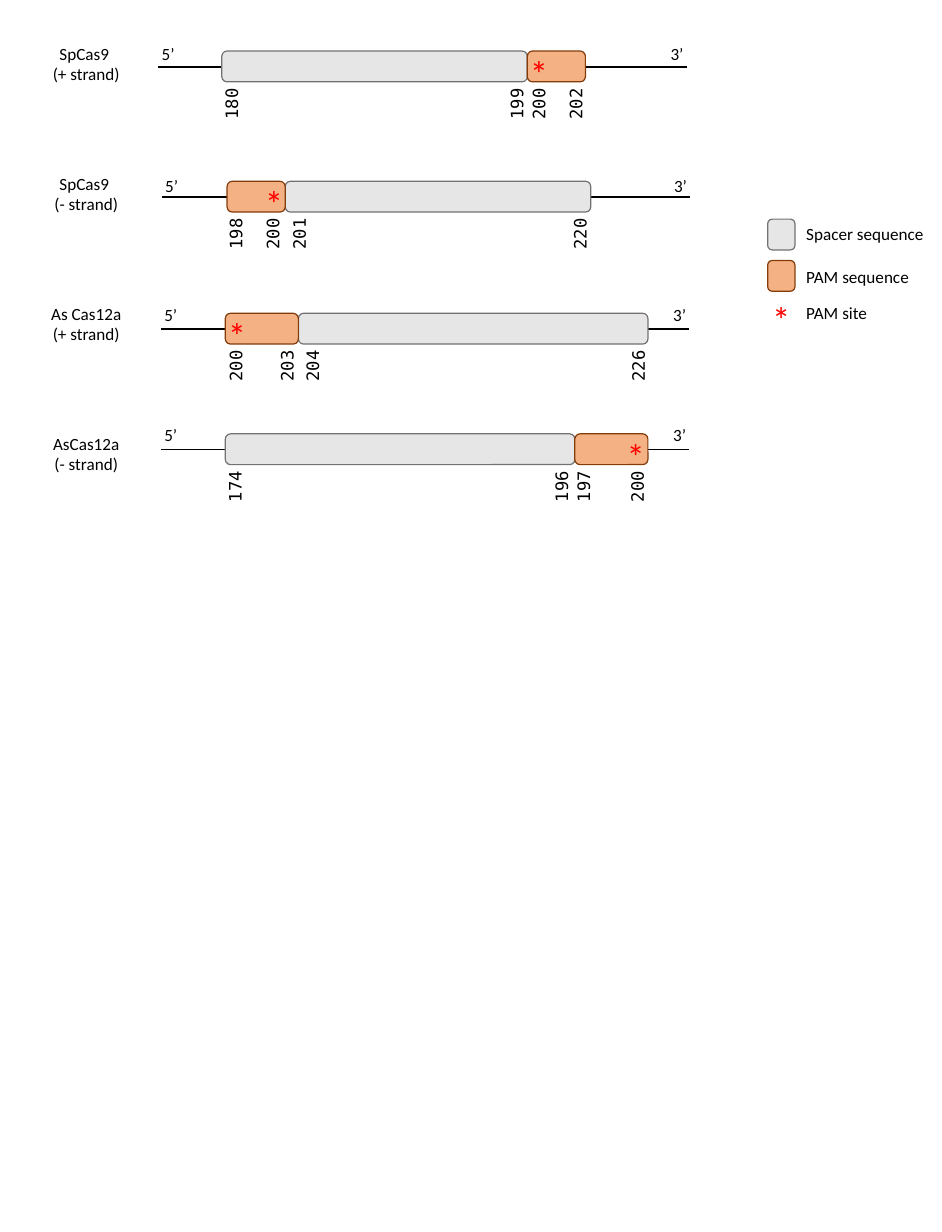
from pptx import Presentation
from pptx.dml.color import RGBColor
from pptx.enum.shapes import MSO_CONNECTOR, MSO_SHAPE
from pptx.enum.text import MSO_AUTO_SIZE, PP_ALIGN
from pptx.oxml.ns import qn
from pptx.util import Inches, Pt
from lxml.etree import SubElement

# Content: x positions, axis heights and widths are in inches
COLORS = {"ink": "000000", "star": "FF0000",
          "spacer": "E7E6E6", "spacer_line": "767171",
          "pam": "F4B183", "pam_line": "843C0B"}
WIDTHS = {"SpCas9": {"spacer": 3.47, "pam": 0.66},
          "AsCas12a": {"spacer": 3.97, "pam": 0.83}}
TRACKS = [
    {"name": "SpCas9 ", "strand": "(+ strand)", "enzyme": "SpCas9",
     "axis": (1.8, 0.76), "ends_top": 0.44, "start": 2.52,
     "order": ("spacer", "pam"), "star": 5.92,
     "positions": [("180", 2.63), ("199", 5.87), ("200", 6.12), ("202", 6.54)]},
    {"name": "SpCas9 ", "strand": "(- strand)", "enzyme": "SpCas9",
     "axis": (1.84, 2.24), "ends_top": 1.94, "start": 2.58,
     "order": ("pam", "spacer"), "star": 2.91,
     "positions": [("198", 2.68), ("200", 3.1), ("201", 3.4), ("220", 6.59)]},
    {"name": "As Cas12a", "strand": "(+ strand)", "enzyme": "AsCas12a",
     "axis": (1.83, 3.74), "ends_top": 3.41, "start": 2.56,
     "order": ("pam", "spacer"), "star": 2.49,
     "positions": [("200", 2.68), ("203", 3.26), ("204", 3.55), ("226", 7.25)]},
    {"name": "AsCas12a", "strand": "(- strand)", "enzyme": "AsCas12a",
     "axis": (1.83, 5.11), "ends_top": 4.77, "start": 2.56,
     "order": ("spacer", "pam"), "star": 7.02,
     "positions": [("174", 2.67), ("196", 6.38), ("197", 6.63), ("200", 7.24)]},
]
LEGEND = [("spacer", "Spacer sequence", 2.49, 2.49),
          ("pam", "PAM sequence", 2.96, 2.98),
          ("star", "PAM site", 3.32, 3.39)]

AXIS_LENGTH, BAR_HEIGHT = 6.0, 0.35
NAME_TOP, NAME_STEP = 0.44, 1.477
LABEL_W, LABEL_H = 1.18, 0.34


def color(key):
    return RGBColor.from_string(COLORS[key])


def add_text(shapes, text, left, top, width, height, size=14, font="Calibri",
             ink="ink", align=PP_ALIGN.CENTER, rotation=0):
    box = shapes.add_textbox(Inches(left), Inches(top), Inches(width), Inches(height))
    box.rotation = rotation
    frame = box.text_frame
    frame.word_wrap = True
    frame.auto_size = MSO_AUTO_SIZE.SHAPE_TO_FIT_TEXT
    frame.text = text
    for paragraph in frame.paragraphs:
        paragraph.alignment = align
        for run in paragraph.runs:
            run.font.size, run.font.name = Pt(size), font
            run.font.color.rgb = color(ink)


def add_star(shapes, left, top, width=0.5, align=PP_ALIGN.LEFT):
    add_text(shapes, "*", left, top, width, 0.61, size=30, ink="star", align=align)


def add_bar(shapes, kind, left, top, width):
    bar = shapes.add_shape(MSO_SHAPE.ROUNDED_RECTANGLE, Inches(left), Inches(top),
                           Inches(width), Inches(BAR_HEIGHT))
    bar.shadow.inherit = False
    bar.fill.solid()
    bar.fill.fore_color.rgb = color(kind)
    bar.line.color.rgb = color(kind + "_line")
    bar.line.width = Pt(1)


def add_axis(shapes, left, y):
    axis = shapes.add_connector(MSO_CONNECTOR.STRAIGHT, Inches(left), Inches(y),
                                Inches(left + AXIS_LENGTH), Inches(y))
    axis.line.color.rgb = color("ink")
    axis.line.width = Pt(1.25)
    SubElement(axis._element.spPr, qn("a:effectLst"))


def add_track(shapes, track, name_top):
    left, y = track["axis"]
    add_axis(shapes, left, y)
    add_text(shapes, track["name"] + "\n" + track["strand"], 0.21, name_top, 1.54, 0.57)
    for end, end_left in (("5’", left - 0.48), ("3’", left + AXIS_LENGTH - 0.7)):
        add_text(shapes, end, end_left, track["ends_top"], LABEL_W, LABEL_H)

    # The second bar starts where the first one ends; PAM lies in front
    widths = WIDTHS[track["enzyme"]]
    first, second = track["order"]
    lefts = {first: track["start"], second: track["start"] + widths[first]}
    for kind in ("spacer", "pam"):
        add_bar(shapes, kind, lefts[kind], y - 0.18, widths[kind])
    add_star(shapes, track["star"], y - 0.23)

    # Position numbers, turned upright and centred on x
    for number, x in track["positions"]:
        add_text(shapes, number, x - LABEL_W / 2, y + 0.42 - LABEL_H / 2,
                 LABEL_W, LABEL_H, font="DejaVu Sans Mono", rotation=270)


def add_legend(shapes):
    for kind, text, key_top, text_top in LEGEND:
        if kind == "star":
            add_star(shapes, 8.66, key_top, width=0.43, align=PP_ALIGN.CENTER)
        else:
            add_bar(shapes, kind, 8.72, key_top, 0.31)
        add_text(shapes, text, 9.06, text_top, 1.54, LABEL_H, align=PP_ALIGN.LEFT)


def main():
    deck = Presentation()
    deck.slide_width, deck.slide_height = Inches(10.7), Inches(14)
    slide = deck.slides.add_slide(deck.slide_layouts[6])
    for row, track in enumerate(TRACKS):
        add_track(slide.shapes, track, NAME_TOP + row * NAME_STEP)
    add_legend(slide.shapes.add_group_shape().shapes)
    deck.save("out.pptx")


if __name__ == "__main__":
    main()
